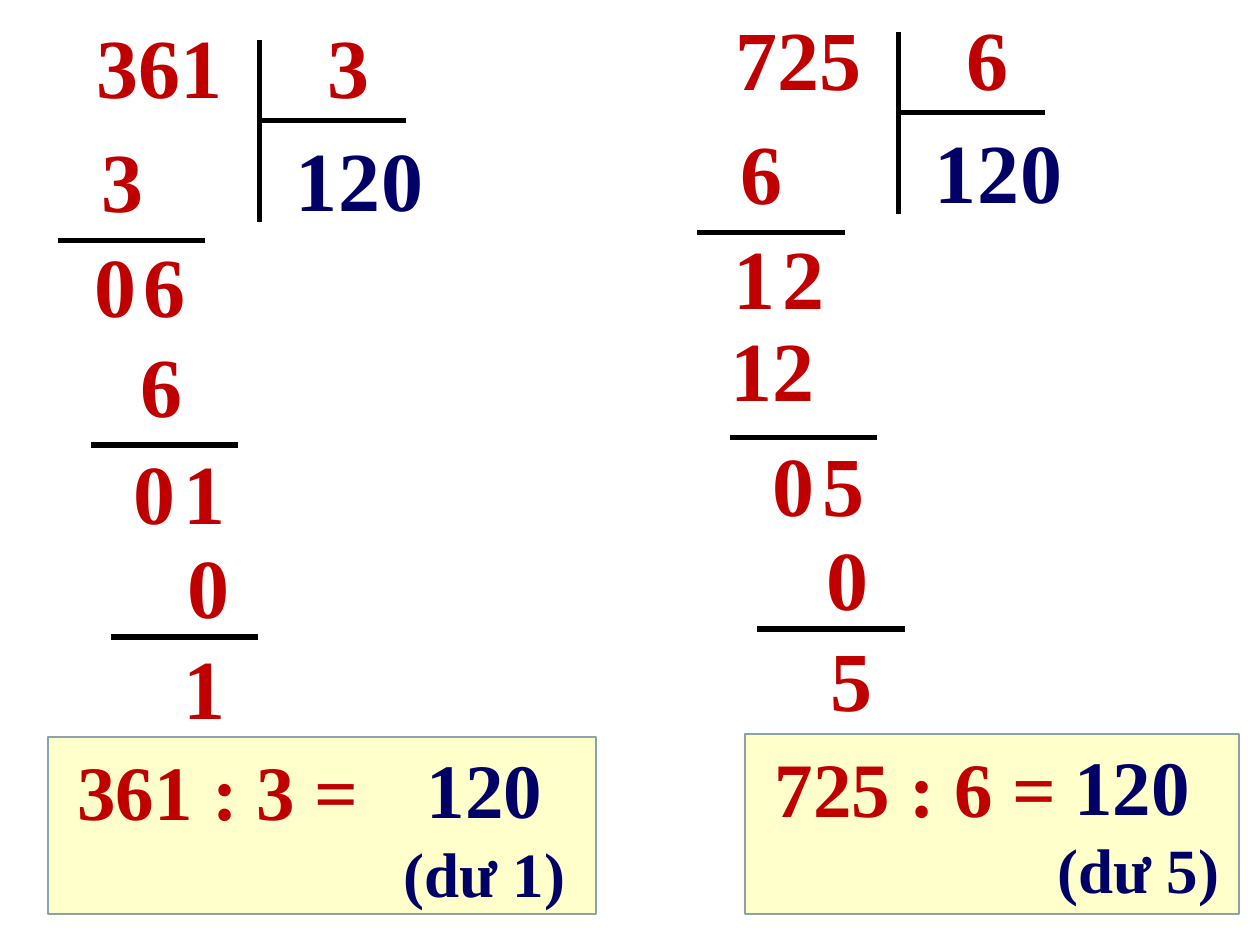
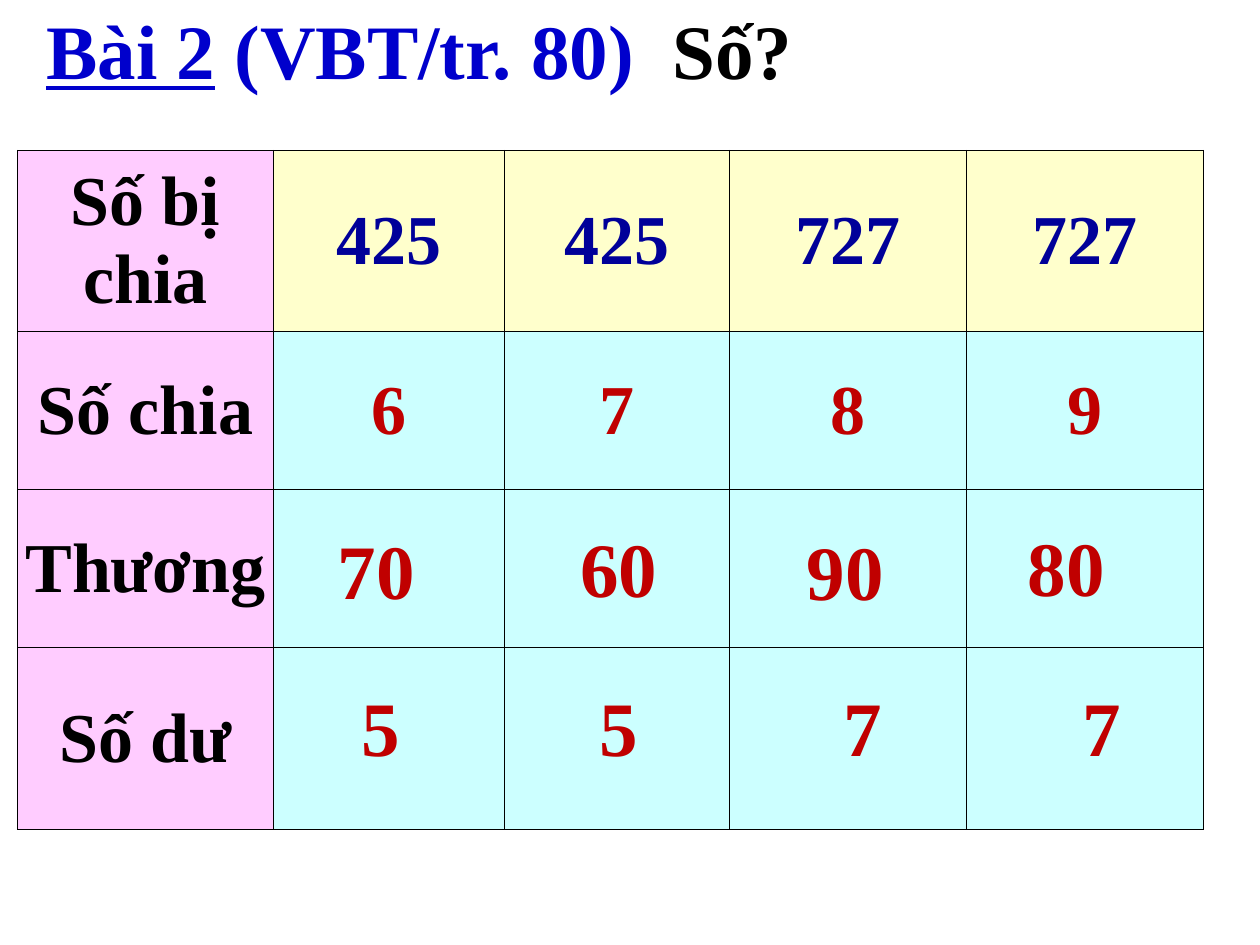
from lxml.etree import SubElement
from pptx import Presentation
from pptx.dml.color import RGBColor
from pptx.enum.shapes import MSO_CONNECTOR, MSO_SHAPE
from pptx.enum.text import MSO_ANCHOR, MSO_AUTO_SIZE, PP_ALIGN
from pptx.oxml import parse_xml
from pptx.oxml.ns import nsdecls, qn
from pptx.util import Pt

FONT = "Times New Roman"
RED = RGBColor(0xC0, 0x00, 0x00)
NAVY = RGBColor(0x00, 0x00, 0x66)
BLUE = RGBColor(0x00, 0x00, 0xCC)
DARK_BLUE = RGBColor(0x00, 0x00, 0x99)
BLACK = RGBColor(0x00, 0x00, 0x00)
GREY = RGBColor(0x89, 0xA4, 0xA7)
YELLOW = RGBColor(0xFF, 0xFF, 0xCC)
PINK = RGBColor(0xFF, 0xCC, 0xFF)
CYAN = RGBColor(0xCC, 0xFF, 0xFF)
LEFT, CENTER = PP_ALIGN.LEFT, PP_ALIGN.CENTER
RULE_LENGTH = 84.3
DIGIT_WIDTH = 66.2


def add_run(p, text, size, color, underline=False):
    """Add one bold run to a paragraph."""
    r = p.add_run()
    r.text = text
    r.font.name = FONT
    r.font.size = Pt(size)
    r.font.bold = True
    r.font.color.rgb = color
    if underline:
        r.font.underline = True


def add_tab(p, position):
    """Give a paragraph one left tab stop."""
    tabs = SubElement(p._p.get_or_add_pPr(), qn("a:tabLst"))
    SubElement(tabs, qn("a:tab"), pos=str(Pt(position)), algn="l")


def add_text_box(s, left, top, width, height):
    """Add a wrapping text box and return its text frame."""
    tf = s.shapes.add_textbox(Pt(left), Pt(top), Pt(width), Pt(height)).text_frame
    tf.word_wrap = True
    tf.auto_size = MSO_AUTO_SIZE.SHAPE_TO_FIT_TEXT
    return tf


def add_number(s, text, left, top, width, size=48, color=RED, align=LEFT, indent=0, tab=None):
    """Add a one-line number or calculation."""
    p = add_text_box(s, left, top, width, size * 1.2 + 7.2).paragraphs[0]
    p.alignment = align
    if indent:
        p._p.get_or_add_pPr().set("marL", str(Pt(indent)))
    if tab:
        add_tab(p, tab)
    add_run(p, text, size, color)


def add_digit(s, text, left, top, color=RED):
    """Add a single centred digit."""
    add_number(s, text, left, top, DIGIT_WIDTH, color=color, align=CENTER)


def add_line(s, x1, y1, x2, y2):
    """Draw a black line of the working."""
    line = s.shapes.add_connector(MSO_CONNECTOR.STRAIGHT, Pt(x1), Pt(y1), Pt(x2), Pt(y2))
    line.line.color.rgb = BLACK
    line.line.width = Pt(3)
    SubElement(line._element.spPr, qn("a:effectLst"))


def add_rule(s, left, top):
    """Draw the line under a subtraction."""
    add_line(s, left + RULE_LENGTH, top, left, top)


def add_panel(s, left, top, width, height):
    """Draw the yellow panel behind a result."""
    panel = s.shapes.add_shape(MSO_SHAPE.RECTANGLE, Pt(left), Pt(top), Pt(width), Pt(height))
    panel.shadow.inherit = False
    panel.fill.solid()
    panel.fill.fore_color.rgb = YELLOW
    panel.line.color.rgb = GREY
    panel.line.width = Pt(1)


def add_result(s, calculation, left, top, answer_left, answer_width, answer):
    """Write a calculation with its quotient and remainder."""
    add_number(s, calculation, left, top, 244.8, size=44, indent=22)
    tf = add_text_box(s, answer_left, top - 0.9, answer_width, 103.7)
    for i, (text, size, align) in enumerate(answer):
        p = tf.add_paragraph() if i else tf.paragraphs[0]
        p.alignment = align
        add_run(p, text, size, NAVY)


def add_long_division(s, dx, dy, dividend, divisor, products, remainders,
                      second_product, result, last_dx=0):
    """Lay out a three-step long division, shifted by dx and dy, and its result."""
    first, second, last = remainders
    product_left, product_top, product_indent = second_product
    add_number(s, f"{dividend}\t{divisor}", dx + 48.2, dy + 4.6, 246, tab=132)
    add_number(s, "1", dx + 65.5, dy + 69.1, 246, color=NAVY, indent=96)
    add_number(s, products[1], dx + product_left, dy + product_top, 100.8,
               indent=product_indent)
    add_line(s, dx + 148.2, dy + 23, dx + 148.2, dy + 126.6)
    add_line(s, dx + 231.8, dy + 69, dx + 148.2, dy + 69)
    add_number(s, first[0], dx + 46.8, dy + 129.9, 246)
    add_rule(s, dx + 33.1, dy + 137.5)
    add_number(s, second[0], dx + 45.4, dy + 248.4, 72, indent=24)
    add_rule(s, dx + 51.9, dy + 254.3)
    add_digit(s, "2", dx + 172.1, dy + 69.1, NAVY)
    add_result(s, *result)
    add_digit(s, products[0], dx + 36.9, dy + 69.8)
    add_digit(s, first[1], dx + 61, dy + 129.9)
    add_number(s, second[1], dx + 85.7, dy + 248.4, 100.8, indent=12)
    add_number(s, last, dx + 74 + last_dx, dy + 359.5, 72, indent=24)
    add_rule(s, dx + 63.3 + last_dx, dy + 364)
    add_digit(s, "0", dx + 196.8, dy + 69.1, NAVY)
    add_number(s, products[2], dx + 51.9, dy + 301.7, 133.2, indent=48)


def style_cell(cell, text, fill, color):
    """Fill, border and write one table cell."""
    cell.margin_left = cell.margin_right = Pt(3.6)
    cell.margin_top = cell.margin_bottom = Pt(3.6)
    cell.vertical_anchor = MSO_ANCHOR.MIDDLE
    cell.fill.solid()
    cell.fill.fore_color.rgb = fill
    tcPr = cell._tc.get_or_add_tcPr()
    for i, side in enumerate("LRTB"):
        tcPr.insert(i, parse_xml(
            f'<a:ln{side} {nsdecls("a")} w="{Pt(0.45)}"><a:solidFill>'
            f'<a:srgbClr val="{BLACK}"/></a:solidFill></a:ln{side}>'))
    if text:
        p = cell.text_frame.paragraphs[0]
        p.alignment = CENTER
        add_run(p, text, 40, color)


def add_division_table(s, rows, col_widths, row_heights):
    """Add the table of dividends, divisors, quotients and remainders."""
    table = s.shapes.add_table(len(rows), len(col_widths), Pt(10), Pt(85.8),
                               Pt(sum(col_widths)), Pt(sum(row_heights))).table
    table.first_row = table.horz_banding = False
    for column, width in zip(table.columns, col_widths):
        column.width = Pt(width)
    for i, (label, *values) in enumerate(rows):
        table.rows[i].height = Pt(row_heights[i])
        style_cell(table.cell(i, 0), label, PINK, BLACK)
        fill, color = (CYAN, RED) if i else (YELLOW, DARK_BLUE)
        for j, value in enumerate(values, 1):
            style_cell(table.cell(i, j), value, fill, color)


def build_divisions(s):
    """Build the slide with two long divisions."""
    add_panel(s, 27.4, 421.2, 313.4, 101.3)
    add_long_division(s, 0, 0, "361", "3", ("3", "6", "0"), ("06", "01", "1"),
                      (61.2, 187.2, 12),
                      ("361 : 3 =", 15.1, 421.2, 213.1, 127.4,
                       (("120", 44, CENTER), ("(dư 1)", 36, CENTER))))
    add_panel(s, 425.6, 419.4, 282.4, 102.8)
    add_long_division(s, 365.2, -4.5, "725", "6", ("6", "12", "0"), ("12", "05", "5"),
                      (45.2, 182.6, 0),
                      ("725 : 6 =", 413.7, 419.4, 597, 110.9,
                       (("120 ", 44, CENTER), ("(dư 5)", 36, LEFT))), last_dx=4.1)


def build_exercise(s):
    """Build the slide with the table exercise."""
    p = add_text_box(s, 19.4, -1.8, 700.6, 60.5).paragraphs[0]
    add_tab(p, 357.8)
    add_run(p, "Bài 2", 44, BLUE, underline=True)
    add_run(p, " (VBT/tr. 80)\t", 44, BLUE)
    add_run(p, "Số?", 44, BLACK)
    add_division_table(s, (("Số bị chia", "425", "425", "727", "727"),
                           ("Số chia", "6", "7", "8", "9"),
                           ("Thương", "", "", "", ""),
                           ("Số dư", "", "", "", "")),
                       (146.2, 132, 128.6, 135.4, 135.4), (103.5, 90.4, 90.4, 104))
    answers = (("70", 131.8, 295.2, 166.3), ("60", 276.2, 293.6, 154.8),
               ("90", 400, 295.6, 166.3), ("80", 531.8, 293.3, 154.8),
               ("5", 134.2, 384.5, 166.3), ("5", 276.2, 384.5, 154.8),
               ("7", 410.1, 384.5, 166.3), ("7", 552.2, 384.5, 154.8))
    for text, left, top, width in answers:
        add_number(s, text, left, top, width, size=44, align=CENTER)


def main():
    """Build and save the presentation."""
    prs = Presentation()
    prs.slide_width, prs.slide_height = Pt(720), Pt(540)
    for build in (build_divisions, build_exercise):
        build(prs.slides.add_slide(prs.slide_layouts[6]))
    prs.save("out.pptx")


if __name__ == "__main__":
    main()
